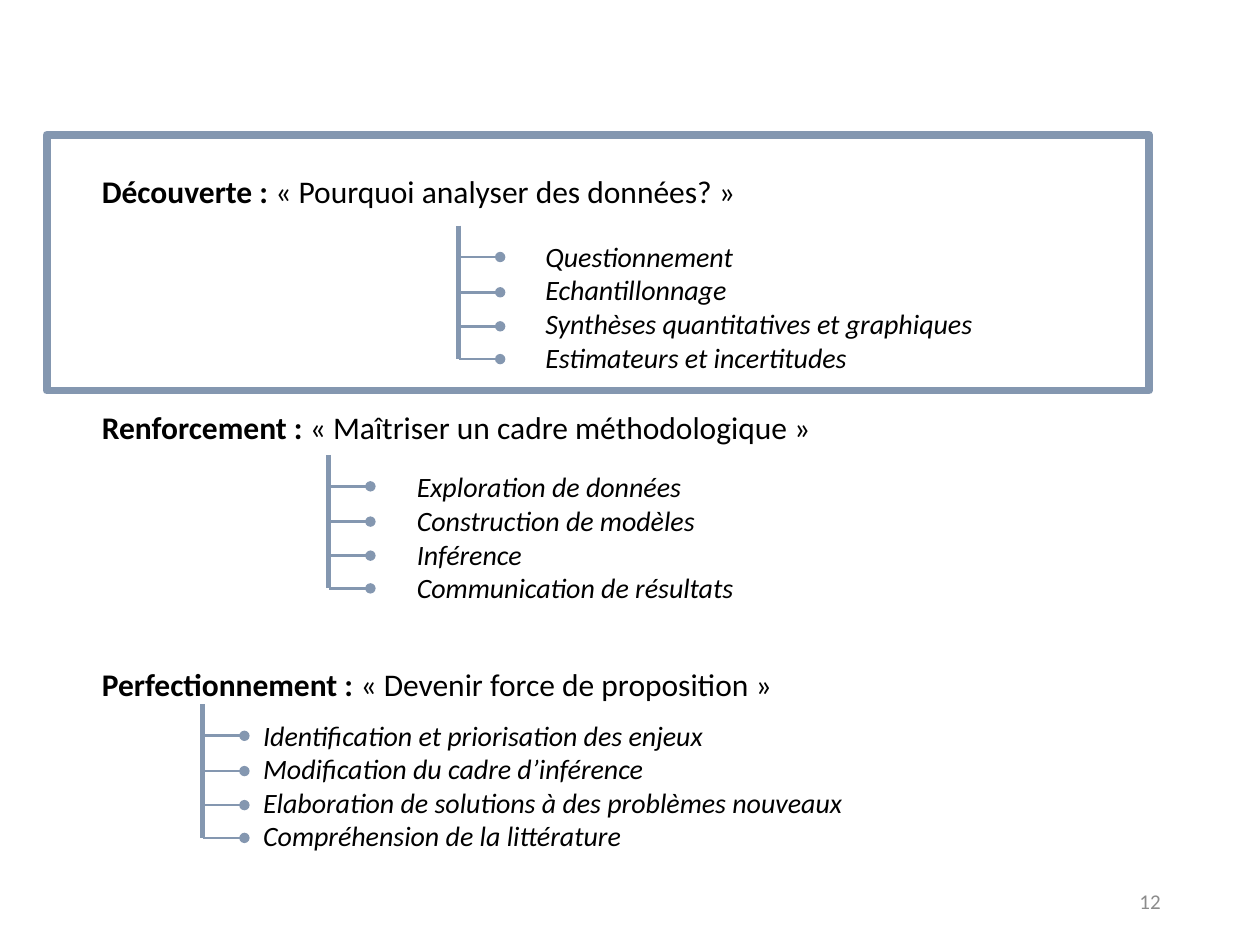
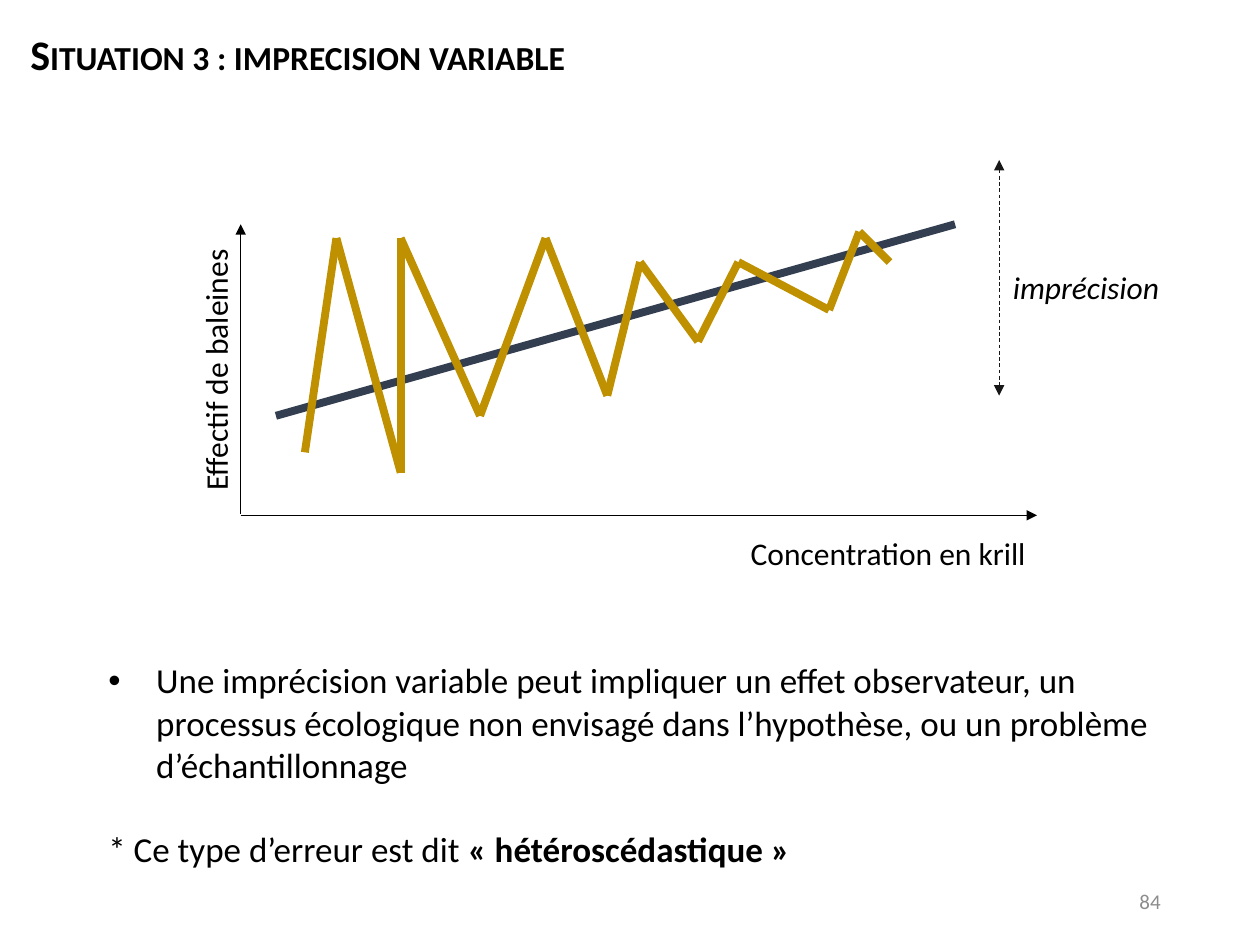
from itertools import pairwise

from lxml import etree
from pptx import Presentation
from pptx.dml.color import RGBColor
from pptx.enum.dml import MSO_LINE
from pptx.enum.shapes import MSO_CONNECTOR, MSO_SHAPE
from pptx.enum.text import MSO_ANCHOR, MSO_AUTO_SIZE, PP_ALIGN
from pptx.oxml.ns import qn
from pptx.util import Pt

STRAIGHT = MSO_CONNECTOR.STRAIGHT
RECTANGLE = MSO_SHAPE.RECTANGLE
DASH = MSO_LINE.DASH
TOP, MIDDLE = MSO_ANCHOR.TOP, MSO_ANCHOR.MIDDLE
NO_AUTOFIT = MSO_AUTO_SIZE.NONE
LEFT, RIGHT = PP_ALIGN.LEFT, PP_ALIGN.RIGHT

PX = 9144
SLIDE_SIZE = (1000, 750)
FONT = "Calibri"
COLORS = {
    "text": "000000",
    "number": "8C8C8C",
    "branch": "8497B0",
    "trend": "333F50",
    "observations": "BF9000",
    "range": "181717",
}
TITLE_LAYOUT, BLANK_LAYOUT = 1, 6
NUMBER_BOX = (706, 695, 225, 40)

LEVELS = [
    {
        "name": "Découverte :",
        "question": " « Pourquoi analyser des données? »",
        "heading_box": (71, 132, 694, 40),
        "topics": ["Questionnement", "Echantillonnage",
                   "Synthèses quantitatives et graphiques", "Estimateurs et incertitudes"],
        "topics_box": (423, 185, 542, 118),
        "trunk": (364, 179),
    },
    {
        "name": "Renforcement :",
        "question": " « Maîtriser un cadre méthodologique »",
        "heading_box": (71, 319, 734, 40),
        "topics": ["Exploration de données", "Construction de modèles",
                   "Inférence", "Communication de résultats"],
        "topics_box": (321, 368, 542, 118),
        "trunk": (261, 361),
    },
    {
        "name": "Perfectionnement :",
        "question": " « Devenir force de proposition »",
        "heading_box": (71, 523, 806, 40),
        "topics": ["Identification et priorisation des enjeux",
                   "Modification du cadre d’inférence",
                   "Elaboration de solutions à des problèmes nouveaux",
                   "Compréhension de la littérature"],
        "topics_box": (199, 565, 745, 118),
        "trunk": (161, 559),
    },
]
BRANCH_DROPS = [25, 53, 80, 106]
BRANCH_LENGTH = 33
CURRENT_LEVEL_FRAME = (37, 107, 875, 203)

TITLE = "Situation 3 : imprecision variable"
TITLE_BOX = (14, 15, 862, 51)
EXPLANATION = ("Une imprécision variable peut impliquer un effet observateur, un processus "
               "écologique non envisagé dans l’hypothèse, ou un problème d’échantillonnage")
REMARK = "* Ce type d’erreur est dit "
REMARK_TERM = "« hétéroscédastique »"
BODY_BOX = (76, 518, 855, 212)
BULLET_INDENT = 38
AXIS_LABELS = [
    ("Effectif de baleines", (26, 234, 290, 40), 270, False),
    ("imprécision", (794, 208, 142, 40), 0, True),
    ("Concentration en krill", (586, 419, 290, 40), 0, False),
]
AXES = [((191, 408), (191, 178)), ((191, 409), (823, 409))]
TREND = ((219, 330), (758, 178))
IMPRECISION_RANGE = ((793, 127), (793, 314))
OBSERVATIONS = [
    (242, 359), (267, 189), (318, 375), (318, 189), (381, 330), (433, 189), (482, 314),
    (508, 208), (554, 271), (586, 208), (658, 246), (682, 184), (706, 208),
]


def emu(lengths):
    return [length * PX for length in lengths]


def rgb(name):
    return RGBColor.from_string(COLORS[name])


def add_run(paragraph, text, size, color="text", bold=False, italic=False):
    run = paragraph.add_run()
    run.text = text
    font = run.font
    font.name, font.size = FONT, Pt(size)
    font.bold, font.italic = bold, italic
    font.color.rgb = rgb(color)
    return run


def add_text_box(slide, box):
    shape = slide.shapes.add_textbox(*emu(box))
    shape.text_frame.word_wrap = True
    return shape


def place(placeholder, box):
    placeholder.left, placeholder.top, placeholder.width, placeholder.height = emu(box)
    frame = placeholder.text_frame
    frame.auto_size = NO_AUTOFIT
    frame.vertical_anchor = TOP
    paragraph = frame.paragraphs[0]
    paragraph.alignment = LEFT
    paragraph.space_before = Pt(0)
    return frame


def add_line(slide, start, end, color, width, head=None, tail=None, dash=None):
    connector = slide.shapes.add_connector(STRAIGHT, *emu(start + end))
    connector.line.color.rgb = rgb(color)
    connector.line.width = Pt(width)
    if dash:
        connector.line.dash_style = dash
    properties = connector._element.spPr
    outline = properties.find(qn("a:ln"))
    for tag, kind in (("a:headEnd", head), ("a:tailEnd", tail)):
        if kind:
            etree.SubElement(outline, qn(tag), type=kind)
    etree.SubElement(properties, qn("a:effectLst"))


def set_bullet(paragraph, character=None):
    properties = paragraph._p.get_or_add_pPr()
    indent = BULLET_INDENT * PX if character else 0
    properties.set("marL", str(indent))
    properties.set("indent", str(-indent))
    if character:
        etree.SubElement(properties, qn("a:buFont"), typeface="Arial")
        etree.SubElement(properties, qn("a:buChar"), char=character)
    else:
        etree.SubElement(properties, qn("a:buNone"))


def add_slide(presentation, layout, number):
    slide = presentation.slides.add_slide(presentation.slide_layouts[layout])
    frame = add_text_box(slide, NUMBER_BOX).text_frame
    frame.vertical_anchor = MIDDLE
    paragraph = frame.paragraphs[0]
    paragraph.alignment = RIGHT
    add_run(paragraph, number, 12, "number")
    return slide


def add_level(slide, level):
    heading = add_text_box(slide, level["heading_box"]).text_frame.paragraphs[0]
    add_run(heading, level["name"], 18, bold=True)
    add_run(heading, level["question"], 18)

    frame = add_text_box(slide, level["topics_box"]).text_frame
    for index, topic in enumerate(level["topics"]):
        paragraph = frame.add_paragraph() if index else frame.paragraphs[0]
        add_run(paragraph, topic, 16, italic=True)

    x, top = level["trunk"]
    add_line(slide, (x, top), (x, top + BRANCH_DROPS[-1]), "branch", 3)
    for drop in BRANCH_DROPS:
        y = top + drop
        add_line(slide, (x + BRANCH_LENGTH, y), (x, y), "branch", 1.5, head="oval")


def build_levels_slide(presentation):
    slide = add_slide(presentation, BLANK_LAYOUT, "12")
    for level in LEVELS:
        add_level(slide, level)
    frame = slide.shapes.add_shape(RECTANGLE, *emu(CURRENT_LEVEL_FRAME))
    frame.shadow.inherit = False
    frame.fill.background()
    frame.line.color.rgb = rgb("branch")
    frame.line.width = Pt(4.5)


def build_imprecision_slide(presentation):
    slide = add_slide(presentation, TITLE_LAYOUT, "84")
    title, body = slide.placeholders

    paragraph = place(title, TITLE_BOX).paragraphs[0]
    paragraph.line_spacing = 1.07
    run = add_run(paragraph, TITLE, 24, bold=True)
    run.font._element.set("cap", "small")

    frame = place(body, BODY_BOX)
    explanation = frame.paragraphs[0]
    set_bullet(explanation, "•")
    add_run(explanation, EXPLANATION, 20)
    remark = frame.add_paragraph()
    set_bullet(remark)
    remark.space_before = Pt(24)
    add_run(remark, REMARK, 20)
    add_run(remark, REMARK_TERM, 20, bold=True)

    for start, end in AXES:
        add_line(slide, start, end, "text", 0.5, tail="triangle")
    for text, box, rotation, italic in AXIS_LABELS:
        label = add_text_box(slide, box)
        label.rotation = rotation
        add_run(label.text_frame.paragraphs[0], text, 18, italic=italic)
    add_line(slide, *TREND, "trend", 4.5)
    add_line(slide, *IMPRECISION_RANGE, "range", 0.5, "triangle", "triangle", DASH)
    for start, end in pairwise(OBSERVATIONS):
        add_line(slide, start, end, "observations", 4.5)


def main():
    presentation = Presentation()
    presentation.slide_width, presentation.slide_height = emu(SLIDE_SIZE)
    build_levels_slide(presentation)
    build_imprecision_slide(presentation)
    presentation.save("out.pptx")


if __name__ == "__main__":
    main()
